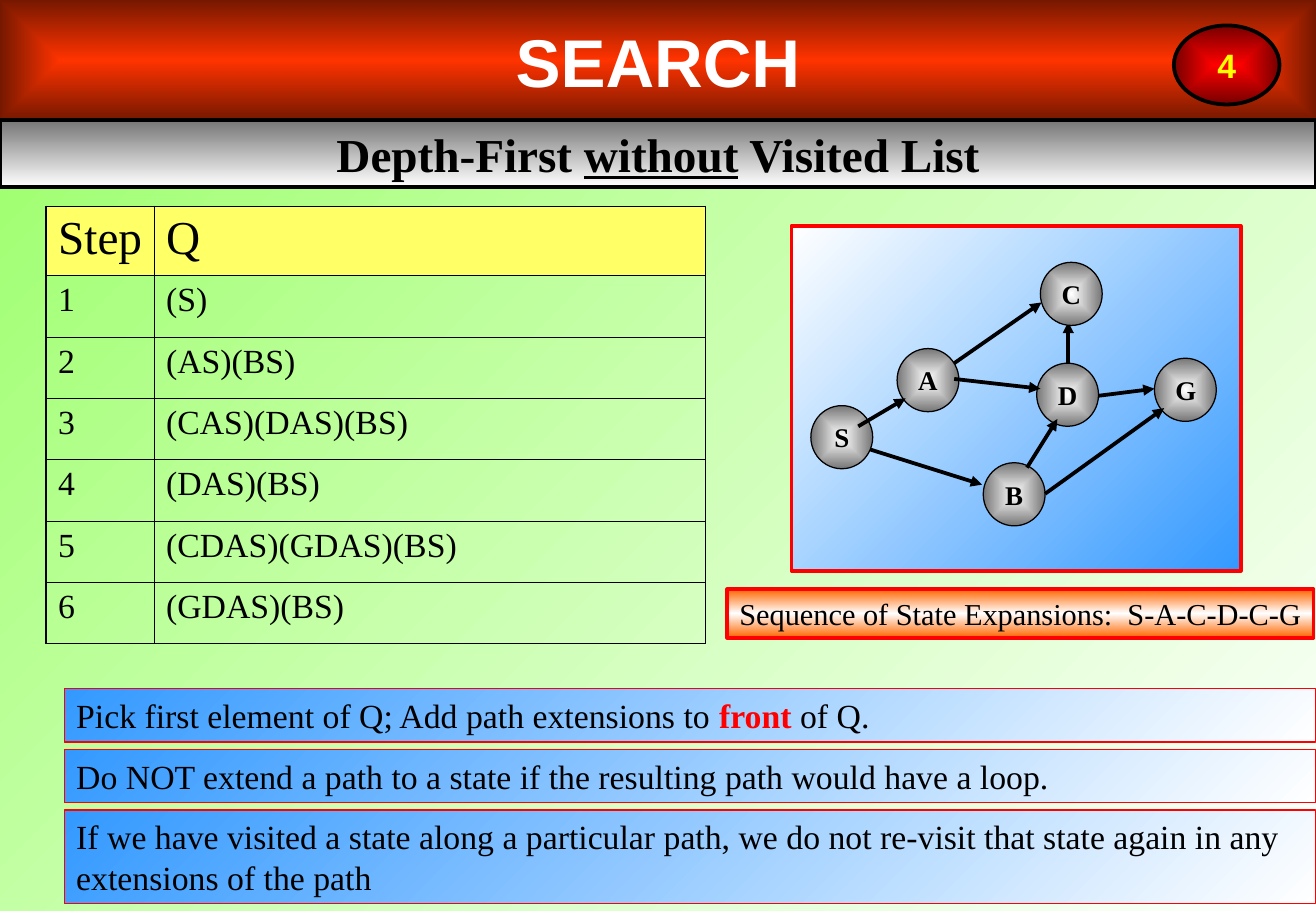
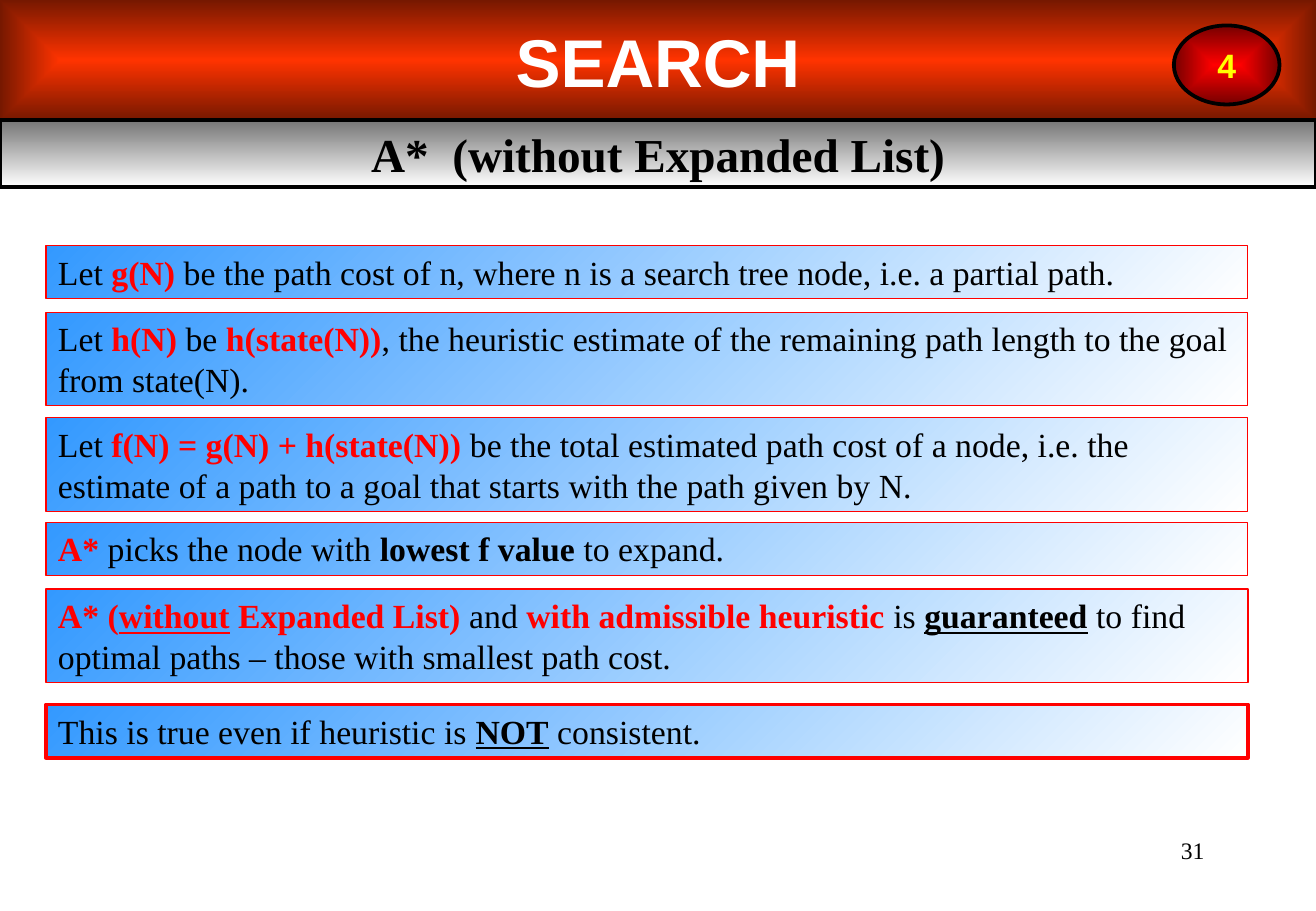
from lxml import etree
from pptx import Presentation
from pptx import util as u
from pptx.dml.color import RGBColor
from pptx.enum import shapes, text
from pptx.oxml.ns import qn

COLOURS = {
    "black": "000000", "white": "FFFFFF", "red": "FF0000", "maroon": "760000",
    "orange": "FF3300", "rust": "761800", "grey": "767676", "blue": "3399FF",
    "amber": "FF6600", "green": "99FF66", "yellow": "FFFF00", "header": "FFFF66",
}
SERIF, SANS = "Times New Roman", "Arial"
RECT, OVAL = shapes.MSO_SHAPE.RECTANGLE, shapes.MSO_SHAPE.OVAL
LEFT, CENTER, RIGHT = text.PP_ALIGN.LEFT, text.PP_ALIGN.CENTER, text.PP_ALIGN.RIGHT
TOP, MIDDLE = text.MSO_ANCHOR.TOP, text.MSO_ANCHOR.MIDDLE

deck = Presentation()
deck.slide_width, deck.slide_height = u.Inches(10.84), u.Inches(7.5)
COLUMN, ROW = deck.slide_width / 100, deck.slide_height / 100


def write(frame, spans, size=20, font=SERIF, colour="black", bold=False, align=LEFT):
    para = frame.paragraphs[0]
    para.alignment = align
    for words, marks in [(spans, "")] if isinstance(spans, str) else spans:
        span = para.add_run()
        span.text = words
        span.font.name, span.font.size = font, u.Pt(size)
        span.font.bold = bold or "b" in marks
        span.font.underline = "u" in marks
        shade = "red" if "r" in marks else colour
        span.font.color.rgb = RGBColor.from_string(COLOURS[shade])


def dress(box, at, spans="", fill=(), angle=None, line=None, width=0.75,
          anchor=TOP, wrap=True, **style):
    box.left, box.top, box.width, box.height = (
        round(share * unit) for share, unit in zip(at, (COLUMN, ROW) * 2))
    if fill:
        box.fill.gradient()
        gradient = box._element.spPr.find(qn("a:gradFill"))
        for child in list(gradient):
            gradient.remove(child)
        stops = etree.SubElement(gradient, qn("a:gsLst"))
        for index, name in enumerate(fill):
            place = str(round(100000 * index / (len(fill) - 1)))
            stop = etree.SubElement(stops, qn("a:gs"), pos=place)
            etree.SubElement(stop, qn("a:srgbClr"), val=COLOURS[name])
        if angle is None:
            route = etree.SubElement(gradient, qn("a:path"), path="rect")
            etree.SubElement(route, qn("a:fillToRect"), l="50000", t="50000", r="50000", b="50000")
        else:
            etree.SubElement(gradient, qn("a:lin"), ang=str(angle * 60000), scaled="0")
        box.shadow.inherit = False
    if line:
        box.line.color.rgb = RGBColor.from_string(COLOURS[line])
        box.line.width = u.Pt(width)
    else:
        box.line.fill.background()
    frame = box.text_frame
    frame.auto_size = text.MSO_AUTO_SIZE.NONE
    frame.word_wrap, frame.vertical_anchor = wrap, anchor
    if spans:
        write(frame, spans, **style)


headings = [
    [("Depth-First ", "b"), ("without", "bu"), (" Visited List", "b")],
    [("A*  (without Expanded List)", "b")],
]
pages = []
for heading in headings:
    page = deck.slides.add_slide(deck.slide_layouts[5])
    pages.append(page)
    dress(page.shapes.title, (0, 0, 100, 13.2), "SEARCH", fill=("orange", "rust"),
          anchor=MIDDLE, size=40, font=SANS, colour="white", bold=True, align=CENTER)
    dress(page.shapes.add_shape(RECT, 0, 0, 0, 0), (0, 13.2, 100, 7.33), heading,
          fill=("grey", "white"), angle=90, line="black", width=2.25,
          anchor=MIDDLE, size=28, align=CENTER)
    dress(page.shapes.add_shape(OVAL, 0, 0, 0, 0), (89.2, 2.8, 8.03, 8.67), "4",
          fill=("red", "maroon"), line="black", width=2.25, anchor=MIDDLE,
          wrap=False, font=SANS, colour="yellow", bold=True, align=CENTER)

search_page, star_page = pages

backdrop = search_page.background.fill
backdrop.gradient()
backdrop.gradient_angle = 315
for stop, name in zip(backdrop.gradient_stops, ("green", "white")):
    stop.color.rgb = RGBColor.from_string(COLOURS[name])

steps = ["(S)", "(AS)(BS)", "(CAS)(DAS)(BS)", "(DAS)(BS)", "(CDAS)(GDAS)(BS)", "(GDAS)(BS)"]
rows = [("Step", "Q")] + [(str(number), queue) for number, queue in enumerate(steps, 1)]
table = search_page.shapes.add_table(
    len(rows), 2, round(3.5 * COLUMN), round(22.67 * ROW),
    round(50.1 * COLUMN), round(47.98 * ROW)).table
table.first_row = table.horz_banding = False
for column, share in zip(table.columns, (8.2, 41.9)):
    column.width = round(share * COLUMN)
for row_index, row in enumerate(rows):
    table.rows[row_index].height = round((6.73 if row_index else 7.6) * ROW)
    for column_index, words in enumerate(row):
        cell = table.cell(row_index, column_index)
        cell.margin_right = round(0.25 * COLUMN)
        write(cell.text_frame, words, size=20 if row_index else 28)
        if row_index:
            cell.fill.background()
        else:
            cell.fill.solid()
            cell.fill.fore_color.rgb = RGBColor.from_string(COLOURS["header"])
        outer = {"L": column_index == 0, "R": column_index == 1,
                 "T": row_index == 0, "B": row_index == len(rows) - 1}
        for index, (side, is_outer) in enumerate(outer.items()):
            border = etree.Element(qn("a:ln" + side), w=str(u.Pt(1.08 if is_outer else 0.45)))
            paint = etree.SubElement(border, qn("a:solidFill"))
            etree.SubElement(paint, qn("a:srgbClr"), val=COLOURS["black"])
            cell._tc.get_or_add_tcPr().insert(index, border)

dress(search_page.shapes.add_shape(RECT, 0, 0, 0, 0), (55.26, 64.67, 44.56, 5.33),
      "Sequence of State Expansions:  S-A-C-D-C-G", fill=("amber", "white", "amber"),
      angle=90, line="red", width=2.25, wrap=False, size=18, align=CENTER)

dress(search_page.shapes.add_shape(RECT, 0, 0, 0, 0), (60.15, 24.8, 34.13, 37.87),
      fill=("white", "blue"), angle=45, line="red", width=2.25)
nodes = {"C": (79.06, 28.8), "A": (68.17, 38.27), "D": (78.78, 39.87),
         "G": (87.73, 39.33), "S": (61.62, 44.53), "B": (74.72, 50.8)}
edges_below = [
    (81.18, 42.67, 81.18, 35.33), (71.86, 40.53, 79.15, 33.2),
    (81.92, 43.73, 87.73, 42.67), (65.22, 48.93, 74.63, 53.2),
]
edges_above = [
    (78.04, 51.33, 80.35, 46), (79.42, 54.2, 88.47, 44.8),
    (72.51, 41.6, 79.06, 42.67), (65.22, 46.8, 68.82, 43.73),
]
for edges, circles in ((edges_below, nodes), (edges_above, {})):
    for edge in edges:
        ends = [round(share * unit) for share, unit in zip(edge, (COLUMN, ROW) * 2)]
        arrow = search_page.shapes.add_connector(shapes.MSO_CONNECTOR.STRAIGHT, *ends)
        arrow.line.color.rgb = RGBColor.from_string(COLOURS["black"])
        arrow.line.width = u.Pt(2.25)
        properties = arrow._element.spPr
        etree.SubElement(properties.find(qn("a:ln")), qn("a:tailEnd"), type="triangle")
        etree.SubElement(properties, qn("a:effectLst"))
    for name, (left, top) in circles.items():
        dress(search_page.shapes.add_shape(OVAL, 0, 0, 0, 0), (left, top, 4.7, 6.93), name,
              fill=("white", "grey"), line="black", anchor=MIDDLE,
              size=16, bold=True, align=CENTER)

search_notes = [
    (75.6, 1, 0.75, [("Pick first element of Q; Add path extensions to ", ""),
                     ("front", "rb"), (" of Q.", "")]),
    (82.27, 1, 0.75, "Do NOT extend a path to a state if the resulting path would have a loop."),
    (88.93, 2, 0.75, "If we have visited a state along a particular path, we do not re-visit "
                     "that state again in any extensions of the path"),
]
star_notes = [
    (26.93, 1, 0.75, [("Let ", ""), ("g(N)", "rb"),
                      (" be the path cost of n, where n is a search tree node, "
                       "i.e. a partial path.", "")]),
    (34.27, 2, 0.75, [("Let ", ""), ("h(N) ", "rb"), ("be ", ""), ("h(state(N))", "rb"),
                      (", the heuristic estimate of the remaining path length "
                       "to the goal from state(N).", "")]),
    (45.87, 2, 0.75, [("Let ", ""), ("f(N) = g(N) + h(state(N))", "rb"),
                      (" be the total estimated path cost of a node, i.e. the estimate of a path "
                       "to a goal that starts with the path given by N.", "")]),
    (57.33, 1, 0.75, [("A* ", "rb"), ("picks the node with ", ""),
                      ("lowest f value ", "b"), ("to expand.", "")]),
    (64.67, 2, 1, [("A* (", "rb"), ("without", "rbu"), (" Expanded List) ", "rb"), ("and ", ""),
                   ("with admissible heuristic ", "rb"), ("is ", ""), ("guaranteed", "bu"),
                   (" to find optimal paths – those with smallest path cost.", "")]),
    (77.33, 1, 2.25, [("This is true even if heuristic is ", ""), ("NOT", "bu"),
                      (" consistent.", "")]),
]
for page, left, width, notes in ((search_page, 4.89, 95.1, search_notes),
                                 (star_page, 3.5, 91.33, star_notes)):
    for top, lines, border, spans in notes:
        dress(page.shapes.add_shape(RECT, 0, 0, 0, 0), (left, top, width, 1.47 + 4.4 * lines),
              spans, fill=("blue", "white"), angle=45, line="red", width=border)

dress(star_page.shapes.add_textbox(0, 0, 0, 0), (71.59, 91.07, 20.85, 6.67), "31",
      size=14, align=RIGHT)

deck.save("out.pptx")
